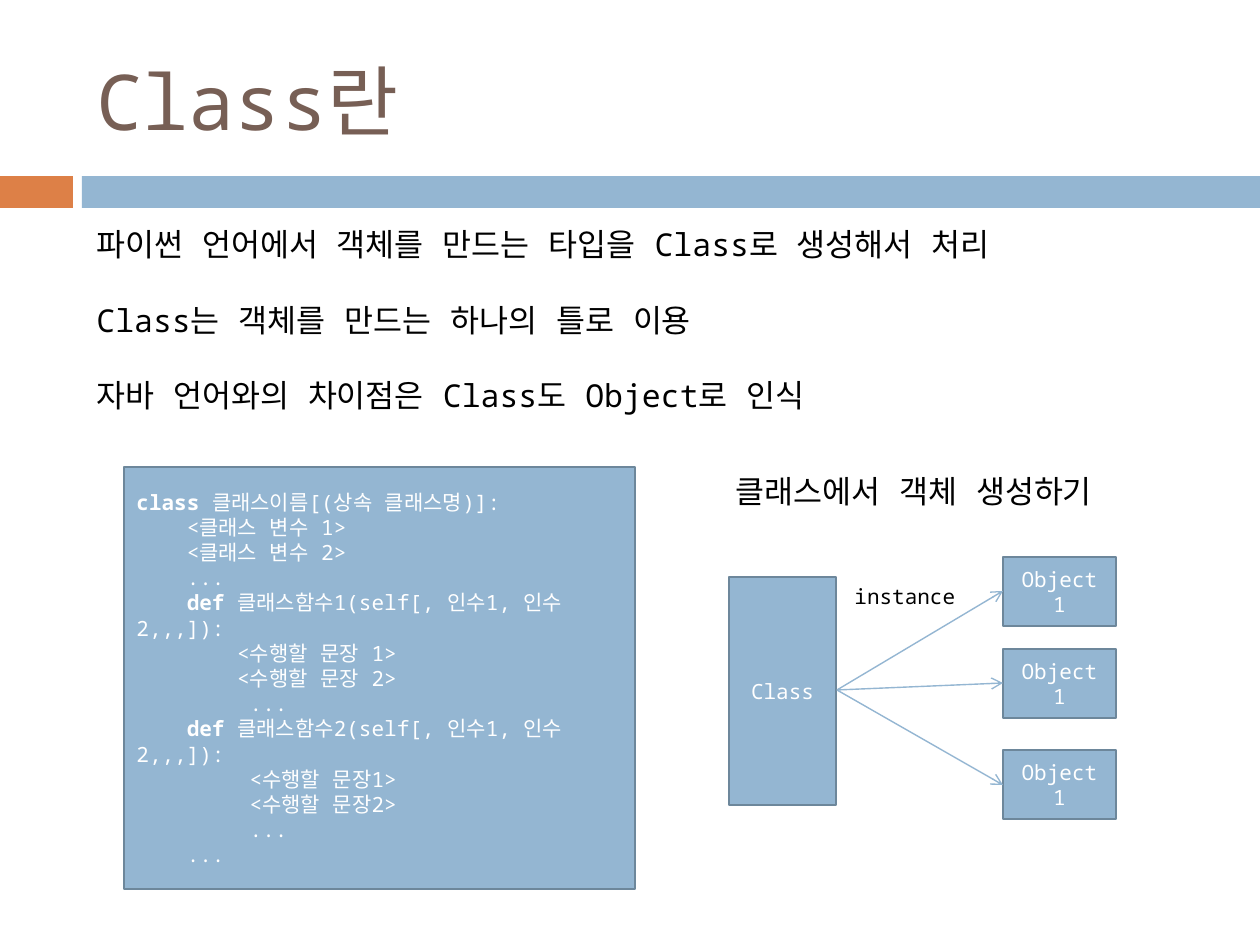
from pptx import Presentation
from pptx.dml.color import RGBColor as RGB
from pptx.enum.shapes import MSO_CONNECTOR as LINE, MSO_SHAPE as SHAPE
from pptx.enum.text import MSO_ANCHOR as ANCHOR, PP_ALIGN as ALIGN
from pptx.oxml.ns import qn
from pptx.util import Pt
from lxml.etree import SubElement as Sub

PX = 914400 / 126
FONT = "Noto Sans Mono"
HUES = {"blue": "94B6D2", "edge": "6D879B", "gold": "DD8047",
        "brown": "775F55", "black": "000000", "white": "FFFFFF"}

deck = Presentation()
deck.slide_width, deck.slide_height = round(1260 * PX), round(945 * PX)
slide = deck.slides.add_slide(deck.slide_layouts[6])
shapes = slide.shapes


def block(x, y, w, h, fill=None, edge=None):
    """Add a filled rectangle, or a text box when there is no fill."""
    at = [round(n * PX) for n in (x, y, w, h)]
    if not fill:
        return shapes.add_textbox(*at)
    box = shapes.add_shape(SHAPE.RECTANGLE, *at)
    box.shadow.inherit = False
    box.fill.solid()
    box.fill.fore_color.rgb = RGB.from_string(HUES[fill])
    if edge:
        box.line.color.rgb = RGB.from_string(HUES[edge])
        box.line.width = Pt(1.5)
    else:
        box.line.fill.background()
    return box


def write(box, lines, size, hue, align=ALIGN.LEFT, anchor=ANCHOR.TOP, gap=0, wrap=True):
    """Fill a box with lines, each a list of (text, bold) runs."""
    frame = box.text_frame
    frame.word_wrap = wrap
    frame.vertical_anchor = anchor
    for i, runs in enumerate(lines):
        para = frame.add_paragraph() if i else frame.paragraphs[0]
        para.alignment = align
        if i and gap:
            para.space_before = Pt(gap)
        for text, bold in runs:
            run = para.add_run()
            run.text = text
            font = run.font
            font.name, font.size, font.bold = FONT, Pt(size), bold
            font.color.rgb = RGB.from_string(HUES[hue])
            Sub(font._element, qn("a:ea")).set("typeface", FONT)


# Header
block(0, 176, 73, 32, "gold")
block(82, 176, 1178, 32, "blue")
write(block(84, 32, 1124, 136), [[("Class란", False)]], 44, "brown",
      anchor=ANCHOR.MIDDLE)

# Main points
points = ["파이썬 언어에서 객체를 만드는 타입을 Class로 생성해서 처리",
          "Class는 객체를 만드는 하나의 틀로 이용",
          "자바 언어와의 차이점은 Class도 Object로 인식"]
write(block(84, 219, 1101, 280), [[(p, False)] for p in points], 18, "black", gap=21.5)

# Class and its objects
write(block(729, 577, 107, 228, "blue", "edge"), [[("Class", False)]], 12, "white",
      ALIGN.CENTER, ANCHOR.MIDDLE)
for top in (557, 649, 750):
    write(block(1003, top, 113, 69, "blue", "edge"), [[("Object 1", False)]], 12,
          "white", ALIGN.CENTER, ANCHOR.MIDDLE)
for end in (591, 683, 785):
    link = shapes.add_connector(LINE.STRAIGHT, *[round(n * PX) for n in (837, 690, 1003, end)])
    link.line.color.rgb = RGB.from_string(HUES["blue"])
    link.line.width = Pt(0.79)
    Sub(link.line._get_or_add_ln(), qn("a:tailEnd")).set("type", "arrow")
    Sub(link._element.spPr, qn("a:effectLst"))
write(block(842, 577, 135, 38), [[("instance", False)]], 12, "black", wrap=False)

# Class syntax
code = [[("class", True), (" 클래스이름[(상속 클래스명)]:", False)],
        [("    <클래스 변수 1>", False)],
        [("    <클래스 변수 2>", False)],
        [("    ...", False)],
        [("    def ", True), ("클래스함수1(self[, 인수1, 인수2,,,]):", False)],
        [("        <수행할 문장 1>", False)],
        [("        <수행할 문장 2>", False)],
        [("         ...", False)],
        [("    def ", True), ("클래스함수2(self[, 인수1, 인수2,,,]):", False)],
        [("         <수행할 문장1>", False)],
        [("         <수행할 문장2>", False)],
        [("         ...", False)],
        [("    ...", False)]]
write(block(124, 467, 511, 422, "blue", "edge"), code, 12, "white", anchor=ANCHOR.MIDDLE)
write(block(723, 466, 397, 50), [[("클래스에서 객체 생성하기", False)]], 18, "black")

deck.save("out.pptx")
